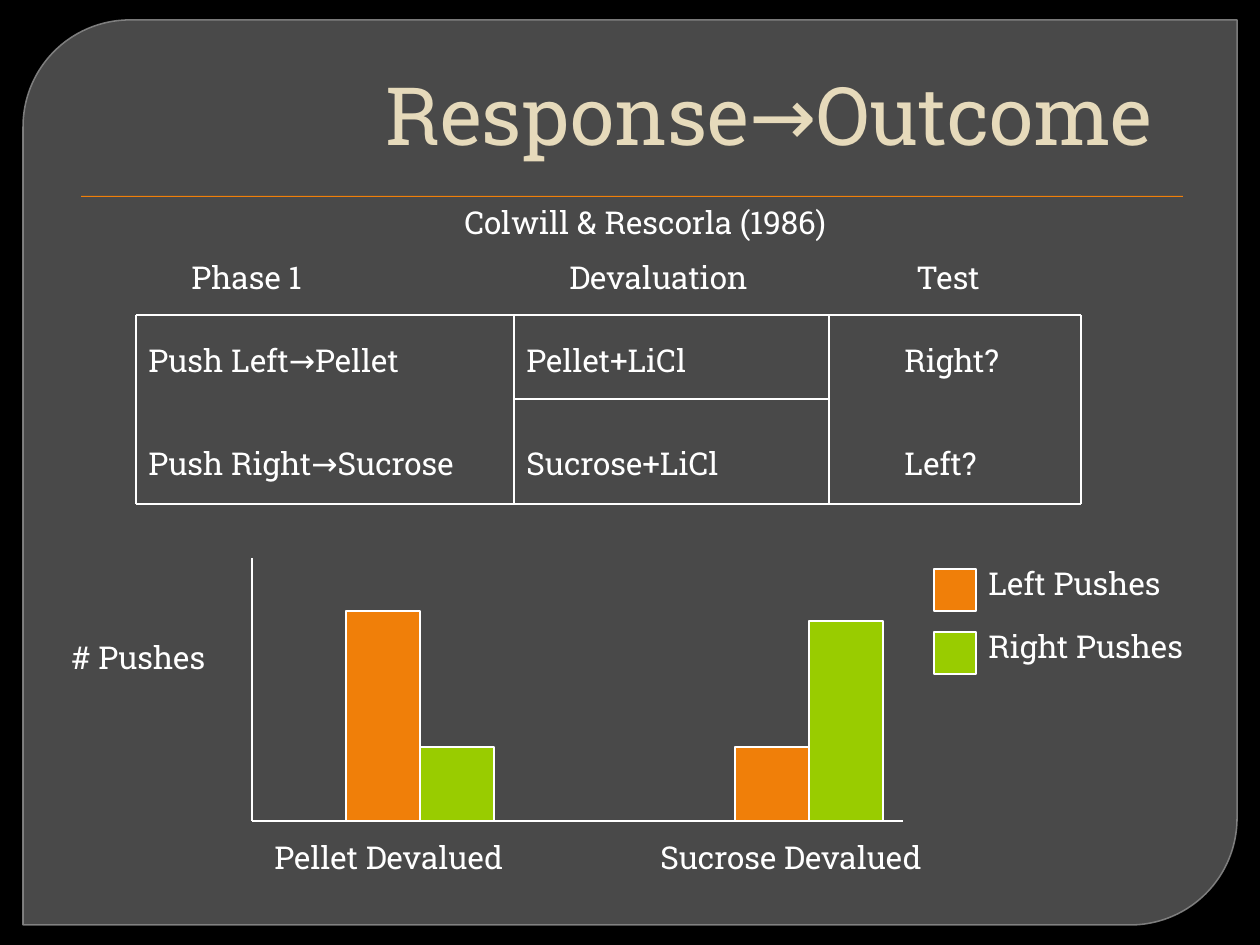
from dataclasses import dataclass

from lxml import etree
from pptx import Presentation, util as u
from pptx.dml.color import RGBColor
from pptx.enum import shapes as sh, text as tx
from pptx.oxml.ns import qn

SCALE = 914400 / 126
FONT = "Roboto Slab"
BLACK = RGBColor(0x00, 0x00, 0x00)
WHITE = RGBColor(0xFF, 0xFF, 0xFF)
GREY = RGBColor(0x71, 0x71, 0x71)
EDGE = RGBColor(0x89, 0x89, 0x89)
CREAM = RGBColor(0xE6, 0xDA, 0xBB)
ORANGE = RGBColor(0xF0, 0x7F, 0x09)
GREEN = RGBColor(0x99, 0xCC, 0x00)


@dataclass
class Label:
    x: int
    y: int
    w: int
    h: int
    rows: tuple[str, ...]
    tabs: tuple[int, ...] = ()
    size: int = 18
    color: RGBColor = WHITE


@dataclass
class Box:
    x: int
    y: int
    w: int
    h: int
    fill: RGBColor


@dataclass
class Line:
    x: int
    y: int
    x2: int
    y2: int


def px(n: float) -> u.Emu:
    return u.Emu(round(n * SCALE))


def fade(fill, pct: int) -> None:
    tint = fill.find(".//" + qn("a:srgbClr"))
    etree.SubElement(tint, qn("a:alpha"), val=str(pct * 1000))


def draw_label(slide, item: Label):
    box = slide.shapes.add_textbox(px(item.x), px(item.y), px(item.w), px(item.h))
    frame = box.text_frame
    frame.word_wrap = True
    for i, row in enumerate(item.rows):
        para = frame.add_paragraph() if i else frame.paragraphs[0]
        if i:
            para.space_before = u.Pt(37)
        if item.tabs:
            stops = etree.SubElement(para._p.get_or_add_pPr(), qn("a:tabLst"))
            for tab in item.tabs:
                etree.SubElement(stops, qn("a:tab"), pos=str(px(tab)), algn="l")
        run = para.add_run()
        run.text = row
        run.font.name = FONT
        run.font.size = u.Pt(item.size)
        run.font.color.rgb = item.color
    return frame


def draw_box(slide, item: Box, kind=sh.MSO_SHAPE.RECTANGLE):
    box = slide.shapes.add_shape(kind, px(item.x), px(item.y), px(item.w), px(item.h))
    box.shadow.inherit = False
    box.fill.solid()
    box.fill.fore_color.rgb = item.fill
    box.line.color.rgb = WHITE
    box.line.width = u.Pt(0.75)
    return box


def draw_line(slide, item: Line) -> None:
    line = slide.shapes.add_connector(
        sh.MSO_CONNECTOR.STRAIGHT, px(item.x), px(item.y), px(item.x2), px(item.y2))
    line.line.color.rgb = WHITE
    line.line.width = u.Pt(0.75)
    etree.SubElement(line._element.spPr, qn("a:effectLst"))


def draw_back(slide) -> None:
    slide.background.fill.solid()
    slide.background.fill.fore_color.rgb = BLACK
    panel = draw_box(slide, Box(23, 20, 1214, 905, GREY),
                     sh.MSO_SHAPE.ROUND_2_DIAG_RECTANGLE)
    panel.adjustments[0] = 0.118
    panel.adjustments[1] = 0
    panel.line.color.rgb = EDGE
    panel.line.width = u.Pt(0.87)
    props = panel._element.spPr
    fade(props.find(qn("a:solidFill")), 65)
    fade(props.find(qn("a:ln")), 88)
    rule = draw_box(slide, Box(81, 196, 1102, 1, ORANGE))
    rule.line.fill.background()


def draw_head(slide) -> None:
    frame = draw_label(slide, Label(94, 10, 1071, 158, ("Response→Outcome",),
                                    size=46, color=CREAM))
    frame.vertical_anchor = tx.MSO_ANCHOR.BOTTOM
    frame.paragraphs[0].alignment = tx.PP_ALIGN.RIGHT
    draw_label(slide, Label(452, 197, 494, 63, ("Colwill & Rescorla (1986)",)))


def draw_grid(slide) -> None:
    cols = (136, 514, 829, 1081)
    top, mid, base = 315, 399, 504
    draw_label(slide, Label(179, 252, 998, 50, ("Phase 1\tDevaluation\tTest",),
                            (378, 725)))
    rows = ("Push Left→Pellet\tPellet+LiCl\tRight?",
            "Push Right→Sucrose\tSucrose+LiCl\tLeft?")
    draw_label(slide, Label(136, 335, 1029, 165, rows, (378, 756)))
    for x in cols:
        draw_line(slide, Line(x, top, x, base))
    for y in (top, base):
        draw_line(slide, Line(cols[0], y, cols[-1], y))
    draw_line(slide, Line(cols[1], mid, cols[2], mid))


def draw_plot(slide) -> None:
    left, base, wide = 252, 821, 74
    draw_line(slide, Line(left, 558, left, base))
    draw_line(slide, Line(left, base, 903, base))
    draw_label(slide, Label(59, 632, 171, 50, ("# Pushes",)))
    draw_label(slide, Label(262, 832, 829, 89,
                            ("Pellet Devalued\tSucrose Devalued",), (386,)))
    for x, pair in ((346, (210, 74)), (735, (74, 200))):
        for i, (tall, fill) in enumerate(zip(pair, (ORANGE, GREEN))):
            draw_box(slide, Box(x + i * wide, base - tall, wide, tall, fill))
    keys = (("Left Pushes", ORANGE), ("Right Pushes", GREEN))
    for i, (name, fill) in enumerate(keys):
        y = 558 + i * 63
        draw_box(slide, Box(934, y + 11, 42, 42, fill))
        draw_label(slide, Label(976, y, 252, 63, (name,)))


def main() -> None:
    deck = Presentation()
    deck.slide_width = px(1260)
    deck.slide_height = px(945)
    slide = deck.slides.add_slide(deck.slide_layouts[6])
    draw_back(slide)
    draw_head(slide)
    draw_grid(slide)
    draw_plot(slide)
    deck.save("out.pptx")


if __name__ == "__main__":
    main()
